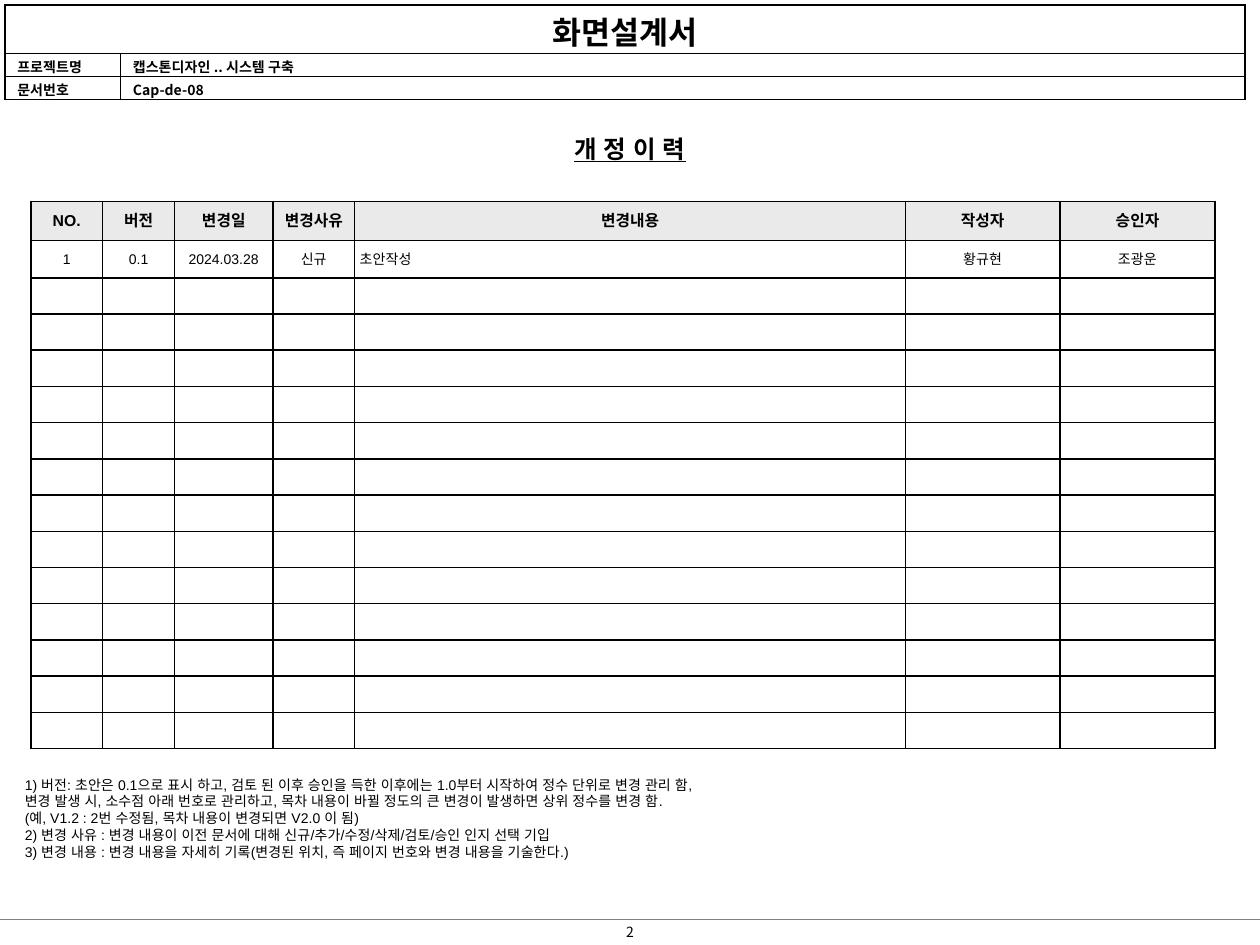
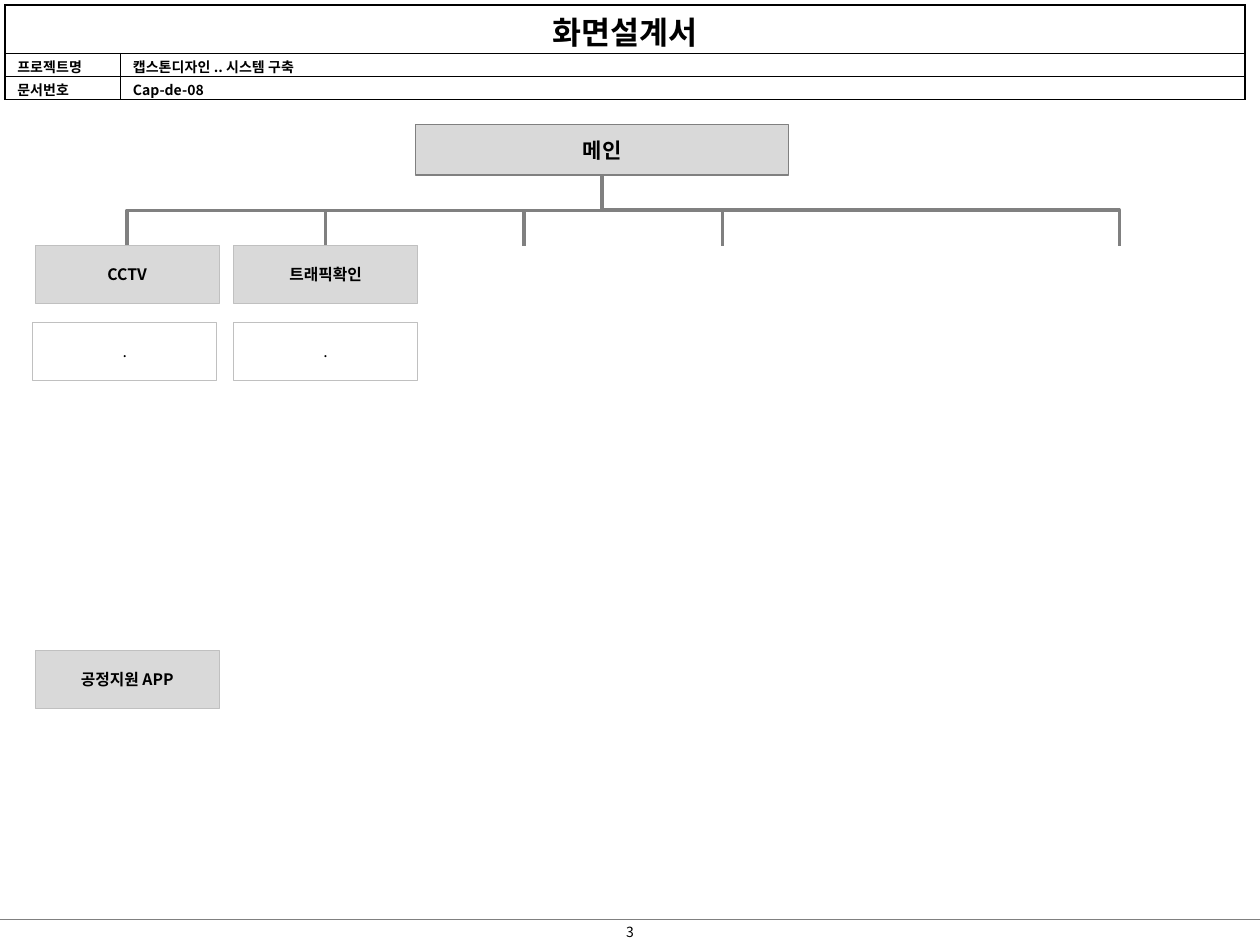
from lxml import etree
from pptx import Presentation
from pptx.dml.color import RGBColor
from pptx.enum.shapes import MSO_CONNECTOR, MSO_SHAPE
from pptx.enum.text import MSO_ANCHOR, PP_ALIGN
from pptx.oxml.ns import qn
from pptx.util import Cm, Pt

LEFT, CENTER = PP_ALIGN.LEFT, PP_ALIGN.CENTER
TOP, MIDDLE = MSO_ANCHOR.TOP, MSO_ANCHOR.MIDDLE
STRAIGHT, ELBOW = MSO_CONNECTOR.STRAIGHT, MSO_CONNECTOR.ELBOW
RECT = MSO_SHAPE.RECTANGLE
TITLE_ONLY, BLANK = 5, 6

SLIDE_W, SLIDE_H = 25.4, 19.05
ARIAL, NOTO = "Arial", "Noto Sans CJK KR"
BLACK, WHITE, GRAY = "000000", "FFFFFF", "808080"
BOX_FILL, BOX_LINE, HEAD_FILL = "D9D9D9", "C0C0C0", "EAEAEA"

DOC_TITLE = "화면설계서"
DOC_INFO = [("프로젝트명", "캡스톤디자인 .. 시스템 구축"), ("문서번호", "Cap-de-08")]
REVISION_COLS = [
    ("NO.", 1.45), ("버전", 1.45), ("변경일", 1.98), ("변경사유", 1.65),
    ("변경내용", 11.1), ("작성자", 3.12), ("승인자", 3.12),
]
REVISIONS = [("1", "0.1", "2024.03.28", "신규", "초안작성", "황규현", "조광운")]
EMPTY_ROWS = 13
DESCRIPTION_COL = 4
NOTES = [
    "1) 버전: 초안은 0.1으로 표시 하고, 검토 된 이후 승인을 득한 이후에는 1.0부터 시작하여 정수 단위로 변경 관리 함,",
    "변경 발생 시, 소수점 아래 번호로 관리하고, 목차 내용이 바뀔 정도의 큰 변경이 발생하면 상위 정수를 변경 함.",
    "(예, V1.2 : 2번 수정됨, 목차 내용이 변경되면 V2.0 이 됨)",
    "2) 변경 사유 : 변경 내용이 이전 문서에 대해 신규/추가/수정/삭제/검토/승인 인지 선택 기입",
    "3) 변경 내용 : 변경 내용을 자세히 기록(변경된 위치, 즉 페이지 번호와 변경 내용을 기술한다.)",
]


def rgb(color):
    """Return the colour for a hex string."""
    return RGBColor.from_string(color)


def write(tf, text, size, font=NOTO, bold=False, underline=False, align=CENTER):
    """Put text in a frame and format every run of it."""
    tf.text = text
    for p in tf.paragraphs:
        p.alignment = align
        for r in p.runs:
            r.font.size, r.font.name = Pt(size), font
            r.font.bold, r.font.underline = bold, underline
            r.font.color.rgb = rgb(BLACK)
            etree.SubElement(r._r.rPr, qn("a:ea"), typeface=font)
        if not p.runs:
            etree.SubElement(p._p, qn("a:endParaRPr"), sz=str(size * 100))


def add_text(s, box, text, size, **style):
    """Add a wrapping text box."""
    tf = s.shapes.add_textbox(*map(Cm, box)).text_frame
    tf.word_wrap = True
    write(tf, text, size, **style)


def add_line(s, kind, ends, width):
    """Add a gray connector without shadow."""
    line = s.shapes.add_connector(kind, *map(Cm, ends))
    line.line.color.rgb, line.line.width = rgb(GRAY), Pt(width)
    etree.SubElement(line._element.spPr, qn("a:effectLst"))
    return line


def add_grid(s, left, top, widths, heights):
    """Add an unstyled table with the given column widths and row heights."""
    box = left, top, sum(widths), sum(heights)
    table = s.shapes.add_table(len(heights), len(widths), *map(Cm, box)).table
    table.first_row = table.horz_banding = False
    for col, width in zip(table.columns, widths):
        col.width = Cm(width)
    for row, height in zip(table.rows, heights):
        row.height = Cm(height)
    return table


def format_cell(cell, fill, side, top, anchor):
    """Set the borders, fill, margins and anchor of a cell."""
    tcPr = cell._tc.get_or_add_tcPr()
    for edge in ("a:lnL", "a:lnR", "a:lnT", "a:lnB"):
        ln = etree.SubElement(tcPr, qn(edge), w=str(Pt(1)))
        solid = etree.SubElement(ln, qn("a:solidFill"))
        etree.SubElement(solid, qn("a:srgbClr"), val=BLACK)
    cell.fill.solid()
    cell.fill.fore_color.rgb = rgb(fill)
    cell.margin_left = cell.margin_right = Cm(side)
    cell.margin_top, cell.margin_bottom = Cm(top), 0
    cell.vertical_anchor = anchor


def add_document_header(s, left, top):
    """Add the document title table."""
    table = add_grid(s, left, top, [2.33, 22.67], [0.98, 0.44, 0.44])
    for cell in table.iter_cells():
        format_cell(cell, WHITE, 0.25, 0.05, TOP)
    table.cell(0, 0).merge(table.cell(0, 1))
    write(table.cell(0, 0).text_frame, DOC_TITLE, 18, bold=True)
    for i, pair in enumerate(DOC_INFO, 1):
        for j, text in enumerate(pair):
            write(table.cell(i, j).text_frame, text, 8, bold=True, align=LEFT)


def add_footer(s, top, number):
    """Add the footer rule and the page number."""
    add_line(s, STRAIGHT, (0, top, SLIDE_W, top), 0.75)
    width = 1.4
    add_text(s, ((SLIDE_W - width) / 2, top - 0.05, width, 0.61), str(number), 8)


def add_page(prs, layout, number):
    """Add a slide with the shared header and footer."""
    s = prs.slides.add_slide(prs.slide_layouts[layout])
    add_document_header(s, 0.1, 0.1)
    add_footer(s, 18.54, number)
    return s


def set_title(s, left, top, width, height):
    """Place and format the title of the revision page."""
    title = s.shapes.title
    title.left, title.top, title.width, title.height = map(Cm, (left, top, width, height))
    title.text_frame.vertical_anchor = MIDDLE
    write(title.text_frame, "개 정 이 력", 14, ARIAL, bold=True, underline=True)


def add_revision_table(s, left, top):
    """Add the revision history with its empty rows."""
    names, widths = zip(*REVISION_COLS)
    rows = [names, *REVISIONS] + [[""] * len(names)] * EMPTY_ROWS
    heights = [0.79, 0.75] + [0.73] * EMPTY_ROWS
    table = add_grid(s, left, top, widths, heights)
    for i, row in enumerate(rows):
        head = i == 0
        for j, text in enumerate(row):
            cell = table.cell(i, j)
            format_cell(cell, HEAD_FILL if head else WHITE, 0.1, 0, MIDDLE)
            align = LEFT if j == DESCRIPTION_COL and not head else CENTER
            write(cell.text_frame, text, 9 if head else 8, ARIAL, bold=head, align=align)


def add_box(s, box, text, size=9, fill=BOX_FILL, line=BOX_LINE):
    """Add a menu box, bold when it is filled gray."""
    sp = s.shapes.add_shape(RECT, *map(Cm, box))
    sp.shadow.inherit = False
    sp.fill.solid()
    sp.fill.fore_color.rgb = rgb(fill)
    sp.line.color.rgb, sp.line.width = rgb(line), Pt(0.75)
    sp.text_frame.word_wrap = False
    sp.text_frame.vertical_anchor = MIDDLE
    write(sp.text_frame, text, size, bold=fill == BOX_FILL)


def add_branch(s, x1, y1, x2, y2):
    """Add an elbow that leaves and arrives vertically."""
    mid_x, mid_y = (x1 + x2) / 2, (y1 + y2) / 2
    half_h, half_w = (y2 - y1) / 2, abs(x2 - x1) / 2
    turn, side = (90, 1) if x2 < x1 else (270, -1)
    ends = (mid_x - side * half_h, mid_y - half_w, mid_x + side * half_h, mid_y + half_w)
    line = add_line(s, ELBOW, ends, 2)
    line._element.spPr.find(qn("a:xfrm")).set("rot", str(turn * 60000))


def add_menu_tree(s, left, top):
    """Add the main box, its branches and the menu boxes."""
    width, height, pitch = 3.71, 1.17, 4
    main_x, main_w, main_h = left + 7.67, 7.52, 1.02
    menu_y, page_y, app_y = top + 2.44, top + 3.99, top + 10.6
    for col in (0, 1, 2, 3, 5):
        add_branch(s, main_x + main_w / 2, top + main_h,
                   left + col * pitch + width / 2, menu_y)
    add_box(s, (main_x, top, main_w, main_h), "메인", 12, line=GRAY)
    for col, (name, shift) in enumerate([("CCTV", -0.05), ("트래픽확인", 0)]):
        x = left + col * pitch
        add_box(s, (x, menu_y, width, height), name)
        add_box(s, (x + shift, page_y, width, height), ".", fill=WHITE)
    add_box(s, (left, app_y, width, height), "공정지원 APP")


def main():
    """Build both slides and save them."""
    prs = Presentation()
    prs.slide_width, prs.slide_height = Cm(SLIDE_W), Cm(SLIDE_H)

    s = add_page(prs, TITLE_ONLY, 2)
    set_title(s, 0, 2.57, SLIDE_W, 0.86)
    add_revision_table(s, 0.62, 4.06)
    add_text(s, (0.25, 15.52, 22.89, 1.96), "\n".join(NOTES), 8, font=ARIAL, align=LEFT)

    s = add_page(prs, BLANK, 3)
    add_menu_tree(s, 0.71, 2.51)

    prs.save("out.pptx")


if __name__ == "__main__":
    main()
